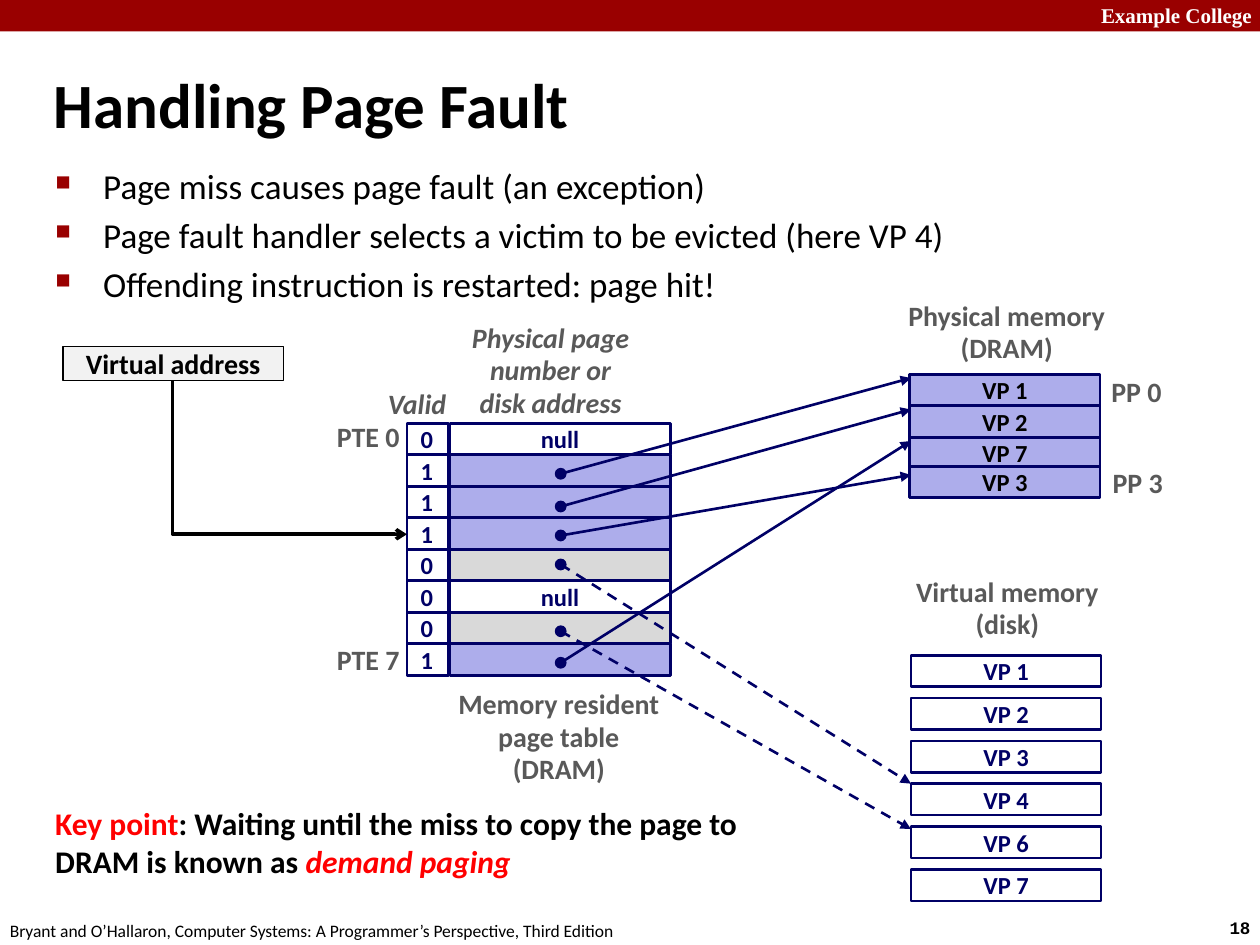
from dataclasses import dataclass
from typing import Optional

from lxml import etree
from pptx import Presentation
from pptx.dml.color import RGBColor
from pptx.enum.dml import MSO_LINE
from pptx.enum.shapes import MSO_CONNECTOR, MSO_SHAPE
from pptx.enum.text import MSO_ANCHOR, PP_ALIGN
from pptx.oxml.ns import qn
from pptx.util import Inches, Pt

RECTANGLE, OVAL = MSO_SHAPE.RECTANGLE, MSO_SHAPE.OVAL
STRAIGHT, ELBOW = MSO_CONNECTOR.STRAIGHT, MSO_CONNECTOR.ELBOW
LEFT, CENTER, RIGHT = PP_ALIGN.LEFT, PP_ALIGN.CENTER, PP_ALIGN.RIGHT
TOP, MIDDLE = MSO_ANCHOR.TOP, MSO_ANCHOR.MIDDLE
DASH = MSO_LINE.DASH

WHITE = RGBColor(0xFF, 0xFF, 0xFF)
BLACK = RGBColor(0x00, 0x00, 0x00)
CRIMSON = RGBColor(0x99, 0x00, 0x00)
RED = RGBColor(0xFF, 0x00, 0x00)
NAVY = RGBColor(0x00, 0x00, 0x66)
LAVENDER = RGBColor(0xAD, 0xAD, 0xEB)
LIGHT_GRAY = RGBColor(0xD9, 0xD9, 0xD9)
PALE_GRAY = RGBColor(0xF2, 0xF2, 0xF2)
DARK_GRAY = RGBColor(0x59, 0x59, 0x59)


@dataclass(frozen=True)
class Style:
    """Look of a text run."""
    size: float
    color: RGBColor = BLACK
    bold: bool = True
    italic: bool = False
    font: str = "Calibri"


@dataclass(frozen=True)
class PageTableEntry:
    """One page table row; dot and target are heights of the pointer's ends."""
    valid: str
    fill: RGBColor
    text: str = ""
    dot: Optional[float] = None
    target: Optional[float] = None


@dataclass(frozen=True)
class Label:
    """A free-standing text with one paragraph per line."""
    box: tuple
    lines: tuple
    style: Style
    align: PP_ALIGN = CENTER
    anchor: MSO_ANCHOR = TOP
    wrap: bool = False
    spacing: Optional[float] = 0.98


LABEL = Style(16, DARK_GRAY)
LABEL_ITALIC = Style(16, DARK_GRAY, italic=True)
CELL = Style(14, NAVY)
KEY = Style(18)

ROW_HEIGHT = 0.25
TABLE_TOP = 3.36
VALID_LEFT, VALID_WIDTH = 3.23, 0.33
ENTRY_LEFT, ENTRY_WIDTH = 3.57, 1.75
DOT_X, DOT_SIZE = 4.45, 0.08
MEMORY_LEFT, MEMORY_WIDTH = 7.22, 1.51
DISK_LEFT, DISK_TOP, DISK_STEP = 7.23, 5.2, 0.34

ENTRIES = [
    PageTableEntry("0", WHITE, "null"),
    PageTableEntry("1", LAVENDER, dot=3.76, target=3.0),
    PageTableEntry("1", LAVENDER, dot=4.02, target=3.25),
    PageTableEntry("1", LAVENDER, dot=4.25, target=3.77),
    PageTableEntry("0", LIGHT_GRAY, dot=4.48, target=6.22),
    PageTableEntry("0", WHITE, "null"),
    PageTableEntry("0", LIGHT_GRAY, dot=5.01, target=6.58),
    PageTableEntry("1", LAVENDER, dot=5.26, target=3.5),
]
PHYSICAL_PAGES = [("VP 7", 3.47), ("VP 3", 3.7), ("VP 2", 3.22), ("VP 1", 2.97)]
DISK_PAGES = ["VP 1", "VP 2", "VP 3", "VP 4", "VP 6", "VP 7"]
BULLETS = [
    "Page miss causes page fault (an exception)",
    "Page fault handler selects a victim to be evicted (here VP 4)",
    "Offending instruction is restarted: page hit!",
]
LABELS = [
    Label((8.64, -0.03, 1.43, 0.3), ("Example College",),
          Style(12, WHITE, font="Times New Roman"), LEFT, spacing=None),
    Label((9.66, 7.23, 0.45, 0.27), ("18",), Style(10, font="Courier New"), LEFT, spacing=None),
    Label((-0.02, 7.25, 5.08, 0.27),
          ("Bryant and O’Hallaron, Computer Systems: A Programmer’s Perspective, Third Edition",),
          Style(10, bold=False), LEFT, spacing=None),
    Label((0.33, 0.39, 9.06, 0.86), ("Handling Page Fault",), Style(36), LEFT, MIDDLE, True, None),
    Label((3.51, 5.41, 1.85, 0.89), ("Memory resident", "page table", "(DRAM)"), LABEL),
    Label((7.1, 2.33, 1.78, 0.63), ("Physical memory", "(DRAM)"), LABEL),
    Label((7.15, 4.52, 1.69, 0.63), ("Virtual memory", "(disk)"), LABEL),
    Label((2.98, 3.03, 0.75, 0.37), ("Valid",), LABEL_ITALIC, LEFT, wrap=True),
    Label((3.64, 2.5, 1.46, 0.89), ("Physical page", "number or", "disk address"),
          LABEL_ITALIC, anchor=MIDDLE),
    Label((2.57, 3.29, 0.7, 0.37), ("PTE 0",), LABEL, RIGHT, MIDDLE),
    Label((2.57, 5.06, 0.7, 0.37), ("PTE 7",), LABEL, RIGHT, MIDDLE),
    Label((8.72, 2.93, 0.6, 0.37), ("PP 0",), LABEL, anchor=MIDDLE),
    Label((8.73, 3.65, 0.6, 0.37), ("PP 3",), LABEL, anchor=MIDDLE),
]


def add_run(paragraph, text: str, style: Style) -> None:
    """Append a styled run to a paragraph."""
    run = paragraph.add_run()
    run.text = text
    font = run.font
    font.name, font.size = style.font, Pt(style.size)
    font.bold, font.italic = style.bold, style.italic
    font.color.rgb = style.color


def add_label(slide, label: Label):
    """Draw a text box and return its text frame."""
    frame = slide.shapes.add_textbox(*map(Inches, label.box)).text_frame
    frame.word_wrap, frame.vertical_anchor = label.wrap, label.anchor
    for index, line in enumerate(label.lines):
        paragraph = frame.add_paragraph() if index else frame.paragraphs[0]
        paragraph.alignment, paragraph.line_spacing = label.align, label.spacing
        add_run(paragraph, line, label.style)
    return frame


def add_block(slide, box: tuple, fill: Optional[RGBColor], line: Optional[RGBColor] = NAVY,
              width: float = 1.5, text: str = "", style: Style = CELL, kind=RECTANGLE) -> None:
    """Draw a preset shape with optional fill, outline and centred text."""
    shape = slide.shapes.add_shape(kind, *map(Inches, box))
    shape.shadow.inherit = False
    if fill is None:
        shape.fill.background()
    else:
        shape.fill.solid()
        shape.fill.fore_color.rgb = fill
    if line is None:
        shape.line.fill.background()
    else:
        shape.line.color.rgb, shape.line.width = line, Pt(width)
    if text:
        frame = shape.text_frame
        frame.word_wrap, frame.vertical_anchor = False, MIDDLE
        frame.paragraphs[0].alignment = CENTER
        add_run(frame.paragraphs[0], text, style)


def add_arrow(slide, ends: tuple, color: RGBColor, width: float, head: str,
              kind=STRAIGHT, dashed: bool = False):
    """Draw a connector with an arrowhead at its end."""
    connector = slide.shapes.add_connector(kind, *map(Inches, ends))
    connector.line.color.rgb, connector.line.width = color, Pt(width)
    if dashed:
        connector.line.dash_style = DASH
    etree.SubElement(connector.line._get_or_add_ln(), qn("a:tailEnd"), type=head)
    etree.SubElement(connector._element.spPr, qn("a:effectLst"))
    return connector


def add_bullets(slide) -> None:
    """Draw the list with square crimson bullets."""
    frame = add_label(slide, Label((0.34, 1.26, 9.09, 0.83), tuple(BULLETS),
                                   Style(20, bold=False), LEFT, wrap=True, spacing=None))
    for paragraph in frame.paragraphs:
        paragraph.space_before = Pt(4)
        properties = paragraph._p.get_or_add_pPr()
        properties.set("marL", str(Inches(0.38)))
        properties.set("indent", str(-Inches(0.38)))
        color = etree.SubElement(properties, qn("a:buClr"))
        etree.SubElement(color, qn("a:srgbClr"), val=str(CRIMSON))
        etree.SubElement(properties, qn("a:buSzPct"), val="60000")
        etree.SubElement(properties, qn("a:buChar"), char="■")


def add_page_table(slide) -> None:
    """Draw the page table rows, then the pointers leaving them."""
    for row, entry in enumerate(ENTRIES):
        top = TABLE_TOP + row * ROW_HEIGHT
        add_block(slide, (ENTRY_LEFT, top, ENTRY_WIDTH, ROW_HEIGHT), entry.fill, text=entry.text)
        add_block(slide, (VALID_LEFT, top, VALID_WIDTH, ROW_HEIGHT), None)
        add_label(slide, Label((3.24, top - 0.03, 0.31, 0.33), (entry.valid,), CELL, LEFT))
    for entry in ENTRIES:
        if entry.dot is not None:
            add_arrow(slide, (DOT_X, entry.dot, DISK_LEFT, entry.target), NAVY, 1.5,
                      "triangle", dashed=entry.valid == "0")
            add_block(slide, (DOT_X - DOT_SIZE / 2, entry.dot - DOT_SIZE / 2, DOT_SIZE, DOT_SIZE),
                      NAVY, width=1, kind=OVAL)


def add_virtual_address(slide) -> None:
    """Draw the address box and its bent arrow to the page table."""
    add_block(slide, (0.5, 2.75, 1.75, 0.27), PALE_GRAY, BLACK, 1, "Virtual address", Style(16))
    connector = add_arrow(slide, (2.91, 2.7, 1.69, 4.56), BLACK, 2, "arrow", ELBOW)
    properties = connector._element.spPr
    properties.find(qn("a:xfrm")).set("rot", str(270 * 60000))
    properties.find(qn("a:prstGeom")).set("prst", "bentConnector2")


presentation = Presentation()
presentation.slide_width, presentation.slide_height = Inches(10), Inches(7.5)
slide = presentation.slides.add_slide(presentation.slide_layouts[6])

add_block(slide, (0, 0, 10, 0.25), CRIMSON, None)
add_bullets(slide)
for name, top in PHYSICAL_PAGES:
    add_block(slide, (MEMORY_LEFT, top, MEMORY_WIDTH, ROW_HEIGHT), LAVENDER,
              text=name, style=Style(14))
for index, name in enumerate(DISK_PAGES):
    add_block(slide, (DISK_LEFT, DISK_TOP + index * DISK_STEP, MEMORY_WIDTH, ROW_HEIGHT),
              WHITE, text=name)
add_page_table(slide)
for label in LABELS:
    add_label(slide, label)
add_virtual_address(slide)

key_point = add_label(slide, Label((0.34, 6.33, 6.33, 0.71), ("Key point",), Style(18, RED),
                                   LEFT, wrap=True, spacing=None)).paragraphs[0]
add_run(key_point, ": Waiting until the miss to copy the page to DRAM is known as ", KEY)
add_run(key_point, "demand paging", Style(18, RED, italic=True))

presentation.save("out.pptx")
